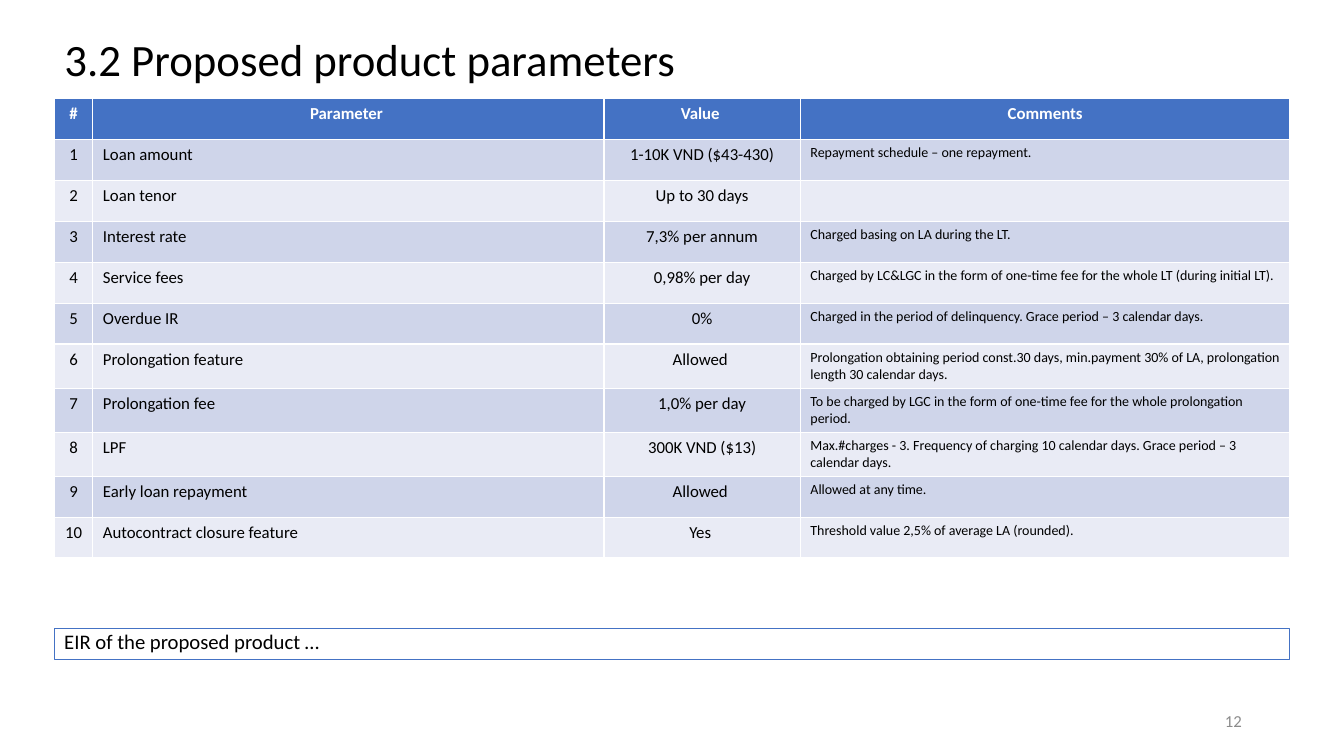
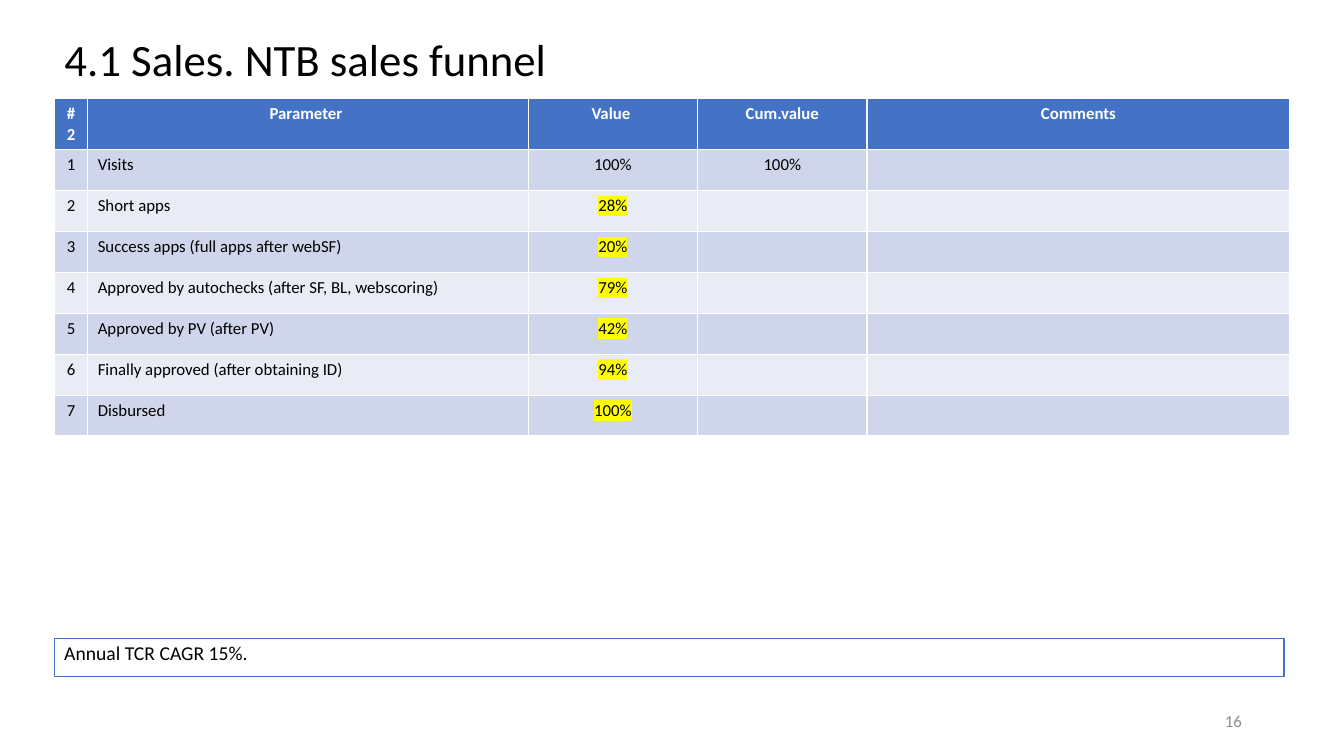
from lxml.etree import SubElement
from pptx import Presentation
from pptx.dml.color import RGBColor
from pptx.enum.shapes import MSO_SHAPE
from pptx.enum.text import MSO_ANCHOR, MSO_AUTO_SIZE, PP_ALIGN
from pptx.oxml.ns import qn
from pptx.util import Cm, Pt

COLORS = {
    "accent": "4472C4",
    "odd_row": "CFD5EA",
    "even_row": "E9EBF5",
    "text": "000000",
    "header_text": "FFFFFF",
    "page_number": "8C8C8C",
    "highlight": "FFFF00",
}
FONT = "Calibri"
LEFT = Cm(1.37)
ROW_HEIGHT = Cm(1.03)

pages = [
    {
        "title": "3.2 Proposed product parameters",
        "number": "12",
        "widths": [0.97, 12.88, 4.95, 12.34],
        "centered": {0, 2},
        "highlighted": set(),
        "rows": [
            ["#", "Parameter ", "Value ", "Comments"],
            ["1", "Loan amount", "1-10K VND ($43-430)", "Repayment schedule – one repayment."],
            ["2", "Loan tenor", "Up to 30 days", ""],
            ["3", "Interest rate", "7,3% per annum", "Charged basing on LA during the LT."],
            ["4", "Service fees", "0,98% per day",
             "Charged by LC&LGC in the form of one-time fee for the whole LT (during initial LT)."],
            ["5", "Overdue IR", "0%",
             "Charged in the period of delinquency. Grace period – 3 calendar days."],
            ["6", "Prolongation feature", "Allowed ",
             "Prolongation obtaining period const.30 days, min.payment 30% of LA, "
             "prolongation length 30 calendar days."],
            ["7", "Prolongation fee", "1,0% per day",
             "To be charged by LGC in the form of one-time fee for the whole prolongation period."],
            ["8", "LPF", "300K VND ($13)",
             "Max.#charges - 3. Frequency of charging 10 calendar days. "
             "Grace period – 3 calendar days."],
            ["9", "Early loan repayment", "Allowed ", "Allowed at any time."],
            ["10", "Autocontract closure feature", "Yes ",
             "Threshold value 2,5% of average LA (rounded)."],
        ],
        "note": "EIR of the proposed product …",
        "note_box": (15.85, 31.14, 0.76),
        "note_size": 14.8,
        "note_spacing": 0.8,
    },
    {
        "title": "4.1 Sales. NTB sales funnel",
        "number": "16",
        "widths": [0.84, 11.1, 4.27, 4.27, 10.66],
        "centered": {0, 2, 3},
        "highlighted": {(r, 2) for r in range(2, 8)},
        "rows": [
            ["#2", "Parameter ", "Value ", "Cum.value", "Comments"],
            ["1", "Visits", "100%", "100%", ""],
            ["2", "Short apps", "28%", "", ""],
            ["3", "Success apps (full apps after webSF)", "20%", "", ""],
            ["4", "Approved by autochecks (after SF, BL, webscoring)", "79%", "", ""],
            ["5", "Approved by PV (after PV)", "42%", "", ""],
            ["6", "Finally approved (after obtaining ID)", "94%", "", ""],
            ["7", "Disbursed", "100%", "", ""],
        ],
        "note": "Annual TCR CAGR 15%.",
        "note_box": (16.08, 30.99, 0.97),
        "note_size": 14,
        "note_spacing": 0.9,
    },
]


def style(paragraph, size, color="text", align=PP_ALIGN.LEFT, bold=False):
    paragraph.alignment = align
    font = paragraph.font
    font.name = FONT
    font.size = Pt(size)
    font.bold = bold
    font.color.rgb = RGBColor.from_string(COLORS[color])


def highlight(run):
    mark = SubElement(run.font._element, qn("a:highlight"))
    SubElement(mark, qn("a:srgbClr"), val=COLORS["highlight"])


prs = Presentation()
prs.slide_width = Cm(33.87)
prs.slide_height = Cm(19.05)

for page in pages:
    slide = prs.slides.add_slide(prs.slide_layouts[5])

    title = slide.shapes.title
    title.left, title.top, title.width, title.height = LEFT, Cm(0.56), Cm(24.77), Cm(1.98)
    title.text_frame.text = page["title"]
    title.text_frame.auto_size = MSO_AUTO_SIZE.NONE
    title.text_frame.vertical_anchor = MSO_ANCHOR.MIDDLE
    heading = title.text_frame.paragraphs[0]
    heading.line_spacing = 0.9
    style(heading, 32)

    rows, widths = page["rows"], page["widths"]
    table = slide.shapes.add_table(
        len(rows), len(widths), LEFT, Cm(2.49), Cm(sum(widths)), ROW_HEIGHT * len(rows)
    ).table
    for column, width in zip(table.columns, widths):
        column.width = Cm(width)
    for r, row in enumerate(rows):
        band = "accent" if r == 0 else "odd_row" if r % 2 else "even_row"
        for c, text in enumerate(row):
            cell = table.cell(r, c)
            cell.text = text
            cell.fill.solid()
            cell.fill.fore_color.rgb = RGBColor.from_string(COLORS[band])
            entry = cell.text_frame.paragraphs[0]
            if r == 0:
                style(entry, 12, "header_text", PP_ALIGN.CENTER, True)
            else:
                align = PP_ALIGN.CENTER if c in page["centered"] else PP_ALIGN.LEFT
                style(entry, 10 if c == len(row) - 1 else 12, align=align)
            if (r, c) in page["highlighted"]:
                highlight(entry.runs[0])

    top, width, height = page["note_box"]
    note = slide.shapes.add_shape(MSO_SHAPE.RECTANGLE, LEFT, Cm(top), Cm(width), Cm(height))
    note.shadow.inherit = False
    note.fill.background()
    note.line.color.rgb = RGBColor.from_string(COLORS["accent"])
    note.line.width = Pt(0.75)
    note.text_frame.text = page["note"]
    note.text_frame.word_wrap = True
    note.text_frame.vertical_anchor = MSO_ANCHOR.TOP
    remark = note.text_frame.paragraphs[0]
    remark.line_spacing = page["note_spacing"]
    remark.space_before = Pt(10)
    style(remark, page["note_size"])

    page_number = slide.shapes.add_textbox(Cm(23.93), Cm(17.65), Cm(7.62), Cm(1.02)).text_frame
    page_number.text = page["number"]
    page_number.word_wrap = True
    page_number.vertical_anchor = MSO_ANCHOR.MIDDLE
    style(page_number.paragraphs[0], 12, "page_number", PP_ALIGN.RIGHT)

prs.save("out.pptx")
